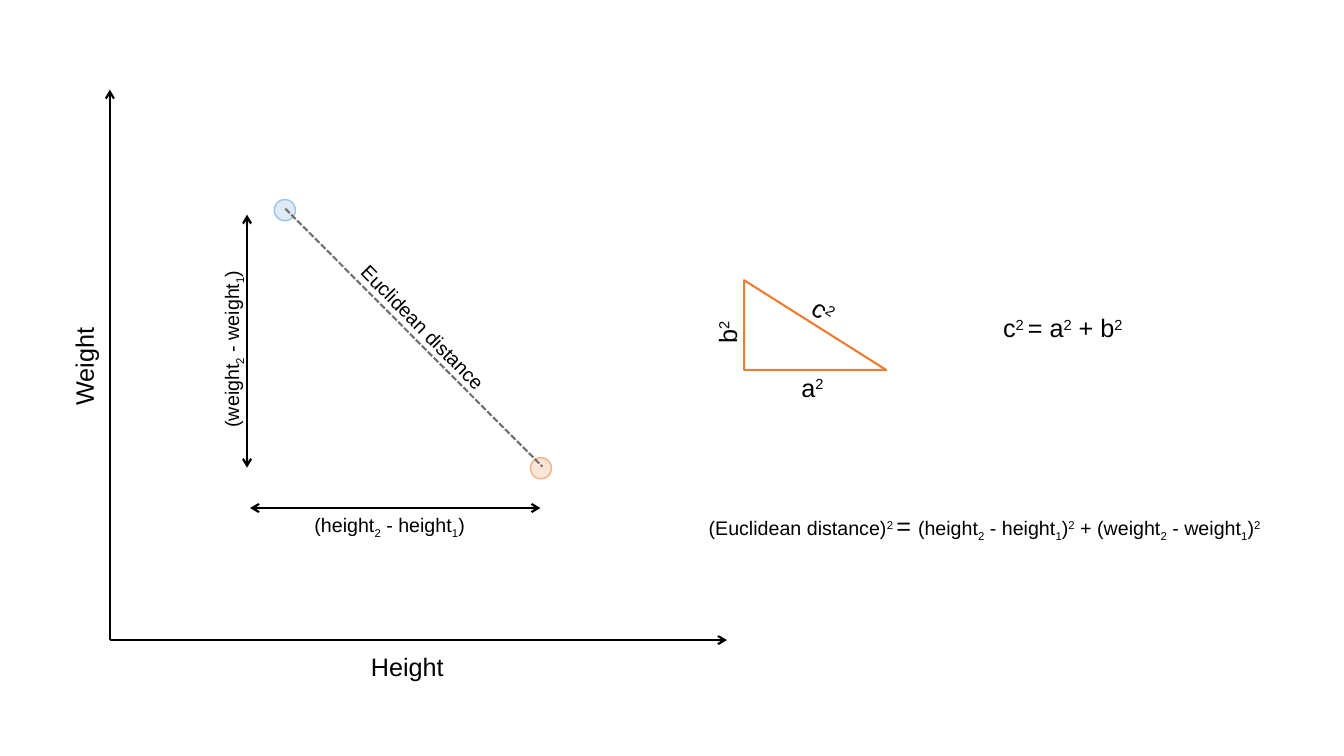
from lxml import etree
from pptx import Presentation
from pptx.dml.color import RGBColor
from pptx.enum.dml import MSO_LINE
from pptx.enum.shapes import MSO_CONNECTOR, MSO_SHAPE
from pptx.enum.text import MSO_ANCHOR
from pptx.oxml.ns import qn
from pptx.util import Inches, Pt

STRAIGHT = MSO_CONNECTOR.STRAIGHT
OVAL = MSO_SHAPE.OVAL
RIGHT_TRIANGLE = MSO_SHAPE.RIGHT_TRIANGLE
MIDDLE = MSO_ANCHOR.MIDDLE
DASHED = MSO_LINE.SQUARE_DOT

FONT = "Arial"
BASE = {"^": "30000", "_": "-25000"}
COLORS = {
    "black": "000000", "white": "FFFFFF", "gray": "757070",
    "blue": "9DC3E6", "pale blue": "DEEBF7",
    "peach": "F4B183", "pale peach": "FBE5D6", "orange": "ED7D31",
}
COLORS = {name: RGBColor.from_string(code) for name, code in COLORS.items()}

deck = Presentation()
deck.slide_width, deck.slide_height = Inches(13.33), Inches(7.5)
slide = deck.slides.add_slide(deck.slide_layouts[6])
shapes = slide.shapes


def add_line(start, end, ends=(), color="black", dash=None):
    """Draw a straight line with arrows at the named ends."""
    points = [Inches(n) for n in (*start, *end)]
    line = shapes.add_connector(STRAIGHT, *points)
    line.line.color.rgb = COLORS[color]
    line.line.width = Pt(1.5)
    if dash:
        line.line.dash_style = dash
    props = line._element.spPr
    for tag in ends:
        etree.SubElement(props.find(qn("a:ln")), qn(tag), type="arrow")
    etree.SubElement(props, qn("a:effectLst"))


def add_label(text, left, top, width, size=18, turn=0):
    """Place a label; | parts its runs, ^ raises and _ lowers a run."""
    box = shapes.add_textbox(Inches(left), Inches(top), Inches(width), Inches(0.38))
    box.rotation = turn
    frame = box.text_frame
    frame.word_wrap = True
    frame.vertical_anchor = MIDDLE
    for part in text.split("|"):
        run = frame.paragraphs[0].add_run()
        run.text = part.lstrip("^_")
        run.font.name = FONT
        run.font.size = Pt(18 if part == "= " else size)
        run.font.color.rgb = COLORS["black"]
        if part[0] in BASE:
            run._r.get_or_add_rPr().set("baseline", BASE[part[0]])


# Data points and the right triangle
for kind, left, top, width, height, fill, edge, weight in (
    (OVAL, 2.72, 1.98, 0.21, 0.21, "pale blue", "blue", 1),
    (OVAL, 5.26, 4.54, 0.21, 0.21, "pale peach", "peach", 1),
    (RIGHT_TRIANGLE, 7.38, 2.78, 1.41, 0.89, "white", "orange", 1.5),
):
    shape = shapes.add_shape(
        kind, Inches(left), Inches(top), Inches(width), Inches(height))
    shape.shadow.inherit = False
    shape.fill.solid()
    shape.fill.fore_color.rgb = COLORS[fill]
    shape.line.color.rgb = COLORS[edge]
    shape.line.width = Pt(weight)

# Axes, distance and its two legs
TAIL = ("a:tailEnd",)
BOTH = ("a:headEnd", "a:tailEnd")
origin = (1.09, 6.35)
add_line(origin, (1.09, 0.89), TAIL)
add_line(origin, (7.21, 6.35), TAIL)
add_line((2.83, 2.07), (5.38, 4.63), color="gray", dash=DASHED)
add_line((2.45, 2.13), (2.45, 4.64), BOTH)
add_line((5.36, 5.04), (2.48, 5.04), BOTH)

# Labels on the plot
height_gap = "(height|_2| - height|_1|)"
weight_gap = height_gap.replace("height", "weight")
add_label("Weight", 0.26, 3.36, 1.14, turn=270)
add_label("Height", 3.58, 6.42, 1.14)
add_label("Euclidean distance", 3.26, 3.1, 1.96, 14, 45.5)
add_label(height_gap, 3.02, 5.03, 2.12, 14)
add_label(weight_gap, 1.25, 3.09, 2.12, 14, 270)

# Triangle sides and formulas
for side, left, top, turn in (
    ("a", 7.85, 3.65, 0), ("b", 6.95, 3.06, 270), ("c", 7.96, 2.92, 32.7),
):
    add_label(side + "|^2", left, top, 0.52, turn=turn)
add_label("c|^2 |= a|^2| + b|^2", 9.85, 3.06, 2.28)
add_label(f"(Euclidean distance)|^2 |= |{height_gap}|^2| + {weight_gap}|^2",
          6.93, 5.03, 5.72, 14)

deck.save("out.pptx")
